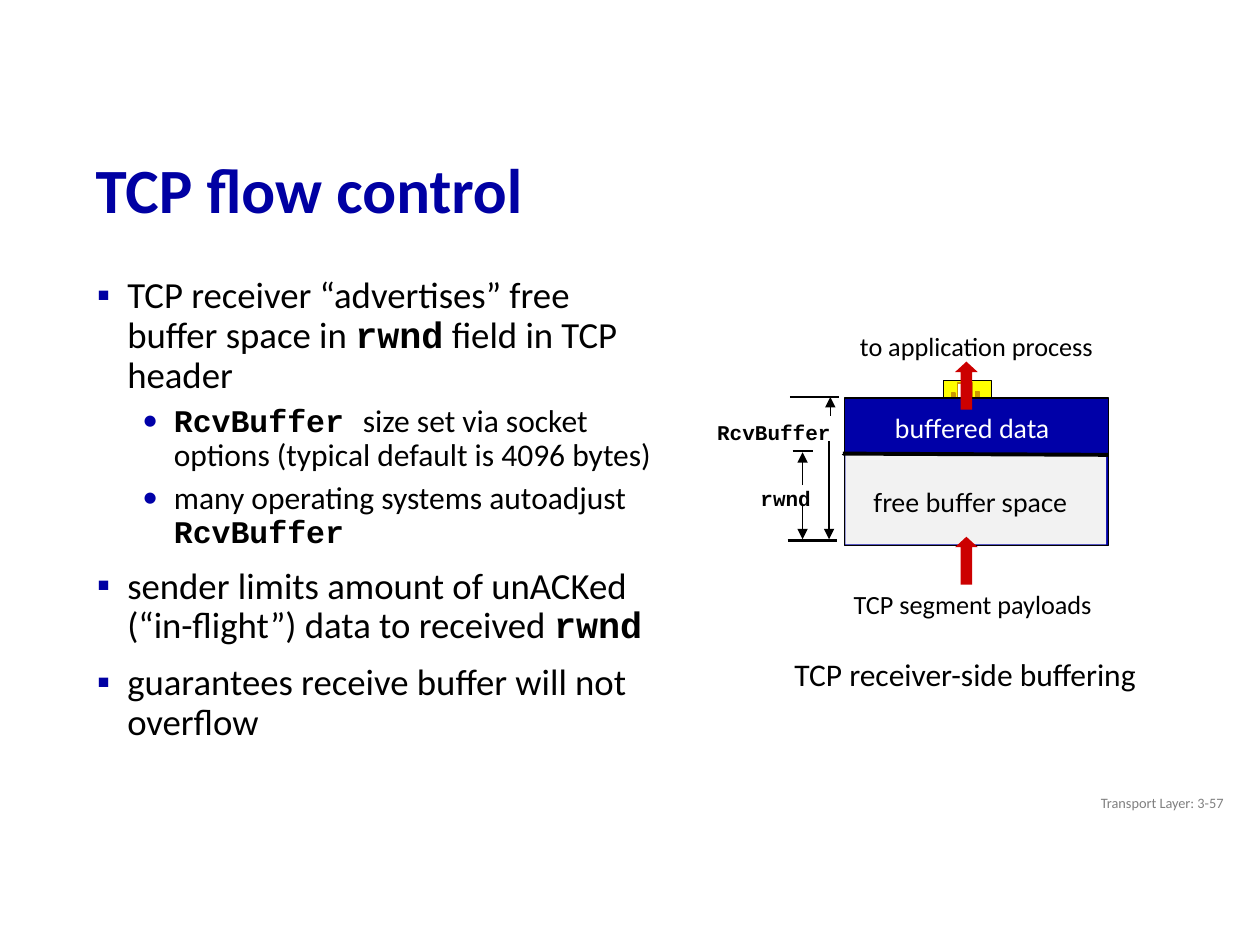
"""Build the TCP flow control slide on a grid of 100 columns by 75 rows."""
from dataclasses import dataclass
from typing import Optional

from lxml import etree
from pptx import Presentation
from pptx import util as u
from pptx.dml.color import RGBColor
from pptx.enum import shapes, text
from pptx.oxml.ns import qn

COLUMNS, ROWS = 100, 75
CELL = u.Inches(0.1)
BLACK = RGBColor(0x00, 0x00, 0x00)
WHITE = RGBColor(0xFF, 0xFF, 0xFF)
NAVY = RGBColor(0x00, 0x00, 0xA3)
BLUE = RGBColor(0x00, 0x00, 0xA8)
RED = RGBColor(0xCC, 0x00, 0x00)
YELLOW = RGBColor(0xFF, 0xFF, 0x00)
GOLD = RGBColor(0xCC, 0x99, 0x00)
PALE = RGBColor(0xF2, 0xF2, 0xF2)
GREY = RGBColor(0x80, 0x80, 0x80)
BODY, LABEL, MONO = "Calibri", "Lato", "Courier New"
RECT, ARROW = shapes.MSO_SHAPE.RECTANGLE, shapes.MSO_SHAPE.UP_ARROW
CENTER, RIGHT = text.PP_ALIGN.CENTER, text.PP_ALIGN.RIGHT


@dataclass(frozen=True)
class Block:
    area: tuple
    fill: RGBColor
    line: Optional[RGBColor] = None
    kind: int = RECT


@dataclass(frozen=True)
class Rule:
    start: tuple
    end: tuple
    width: float = 0.75
    arrow: bool = False


@dataclass(frozen=True)
class Label:
    words: str
    area: tuple
    size: float
    font: str = BODY
    color: RGBColor = BLACK
    align: int = CENTER


@dataclass(frozen=True)
class Level:
    size: float
    margin: float
    hanging: float
    before: float
    mark: str
    color: RGBColor


POINT = Level(21, 3.9, 2.4, 10, "▪", NAVY)
DETAIL = Level(18, 7.6, 2.5, 5, "•", BLUE)
BULLETS = [
    (POINT, "TCP receiver “advertises” free buffer space in `rwnd` field in TCP header"),
    (DETAIL, "`RcvBuffer `size set via socket options (typical default is 4096 bytes)"),
    (DETAIL, "many operating systems autoadjust `RcvBuffer`"),
    (POINT, "sender limits amount of unACKed (“in-flight”) data to received `rwnd`"),
    (POINT, "guarantees receive buffer will not overflow"),
]
BUFFER = [
    Block((74.9, 30.2, 3.8, 1.7), YELLOW, BLACK),
    Block((76, 30.4, 1.2, 1.3), WHITE, GOLD),
    Block((77.4, 31.1, 0.3, 0.5), GOLD, GOLD),
    Block((75.5, 31.2, 0.3, 0.5), GOLD, GOLD),
    Block((67, 31.6, 21, 11.7), BLUE, BLACK),
    Block((75.8, 28.7, 1.8, 3.8), RED, kind=ARROW),
    Block((67.1, 36, 20.7, 7.2), PALE),
    Block((75.8, 42.6, 1.8, 3.8), RED, kind=ARROW),
]
RULES = [
    Rule((66.8, 36.1), (87.9, 36.1)),
    Rule((66.9, 36), (88, 36.1), 2.25),
    Rule((63.7, 38.5), (63.7, 35.9), arrow=True),
    Rule((63.7, 40.2), (63.7, 42.8), arrow=True),
    Rule((62.5, 42.9), (66.4, 42.9), 1.5),
    Rule((62.9, 35.8), (64.5, 35.8), 1.5),
    Rule((62.7, 31.5), (66.6, 31.5), 1.5),
    Rule((65.9, 33), (65.9, 31.5), arrow=True),
    Rule((65.8, 35), (65.8, 42.8), arrow=True),
]
LABELS = [
    Label("buffered data", (69.9, 32.2, 14.5, 3.5), 15, LABEL, WHITE),
    Label("free buffer space", (68.1, 38.1, 17.8, 3.5), 15, LABEL),
    Label("`rwnd`", (59.3, 38, 6.1, 3), 12),
    Label("`RcvBuffer`", (55.7, 32.8, 11.2, 3), 12, align=RIGHT),
    Label("TCP segment payloads", (66.6, 46.2, 21.2, 3.5), 15),
    Label("to application process", (67.1, 25.7, 20.8, 3.5), 15),
    Label("TCP receiver-side buffering", (61.7, 51.5, 29.8, 4), 18),
    Label("Transport Layer: 3-57", (75.6, 62.2, 22.5, 3), 8.2, color=GREY, align=RIGHT),
]


def cells(*counts: float) -> list:
    """Turn counts of grid cells into lengths."""
    return [u.Emu(round(count * CELL)) for count in counts]


def write(para, words: str, *, size: float, font: str = BODY,
          color: RGBColor = BLACK, bold: bool = False, align=None) -> None:
    """Write a paragraph, setting words between backticks in bold monospace."""
    para.alignment = align
    for index, part in enumerate(words.split("`")):
        if part:
            code = index % 2 == 1
            span = para.add_run()
            span.text = part
            span.font.size = u.Pt(size)
            span.font.name = MONO if code else font
            span.font.bold = bold or code
            span.font.color.rgb = color


def draw_block(page, block: Block) -> None:
    """Draw a filled shape with an optional outline."""
    shape = page.shapes.add_shape(block.kind, *cells(*block.area))
    shape.shadow.inherit = False
    shape.fill.solid()
    shape.fill.fore_color.rgb = block.fill
    if block.line is None:
        shape.line.fill.background()
    else:
        shape.line.color.rgb = block.line
        shape.line.width = u.Pt(0.75)
    if block.kind == ARROW:
        shape.adjustments[0], shape.adjustments[1] = 0.5, 0.46


def draw_rule(page, rule: Rule) -> None:
    """Draw a black line, with an arrowhead at its end if asked."""
    line = page.shapes.add_connector(
        shapes.MSO_CONNECTOR.STRAIGHT, *cells(*rule.start, *rule.end))
    line.line.color.rgb = BLACK
    line.line.width = u.Pt(rule.width)
    if rule.arrow:
        etree.SubElement(line.line._get_or_add_ln(), qn("a:tailEnd"), type="triangle")
    etree.SubElement(line._element.spPr, qn("a:effectLst"))


def draw_label(page, label: Label) -> None:
    """Draw a single-line caption."""
    frame = page.shapes.add_textbox(*cells(*label.area)).text_frame
    frame.word_wrap = label.color == GREY
    frame.vertical_anchor = text.MSO_ANCHOR.MIDDLE
    write(frame.paragraphs[0], label.words, size=label.size, font=label.font,
          color=label.color, align=label.align)


def add_bullet(para, level: Level) -> None:
    """Give a paragraph the spacing, indent and mark of its level."""
    para.line_spacing = 0.9
    para.space_before = u.Pt(level.before)
    props = para._p.get_or_add_pPr()
    margin, hanging = cells(level.margin, -level.hanging)
    props.set("marL", str(int(margin)))
    props.set("indent", str(int(hanging)))
    tint = etree.SubElement(props, qn("a:buClr"))
    etree.SubElement(tint, qn("a:srgbClr"), val=str(level.color))
    etree.SubElement(props, qn("a:buFont"), typeface=BODY)
    etree.SubElement(props, qn("a:buChar"), char=level.mark)


def draw_title(page) -> None:
    """Place and format the title."""
    title = page.shapes.title
    title.left, title.top, title.width, title.height = cells(6.6, 11.7, 93.4, 7.3)
    frame = title.text_frame
    frame.auto_size = text.MSO_AUTO_SIZE.NONE
    frame.vertical_anchor = text.MSO_ANCHOR.MIDDLE
    para = frame.paragraphs[0]
    para.line_spacing = 0.9
    write(para, "TCP flow control", size=36, color=NAVY, bold=True, align=text.PP_ALIGN.LEFT)


def draw_bullets(page) -> None:
    """Draw the list on the left."""
    frame = page.shapes.add_textbox(*cells(5.5, 21.6, 47.8, 40.2)).text_frame
    frame.word_wrap = True
    frame.margin_left, frame.margin_right = cells(0.7, 0.7)
    frame.margin_top, frame.margin_bottom = cells(0.4, 0.4)
    for index, (level, words) in enumerate(BULLETS):
        para = frame.add_paragraph() if index else frame.paragraphs[0]
        para.level = int(level is DETAIL)
        add_bullet(para, level)
        write(para, words, size=level.size)


def main() -> None:
    """Build and save the deck."""
    deck = Presentation()
    deck.slide_width, deck.slide_height = cells(COLUMNS, ROWS)
    page = deck.slides.add_slide(deck.slide_layouts[5])
    draw_title(page)
    draw_bullets(page)
    for draw, items in ((draw_block, BUFFER), (draw_rule, RULES), (draw_label, LABELS)):
        for item in items:
            draw(page, item)
    deck.save("out.pptx")


if __name__ == "__main__":
    main()
